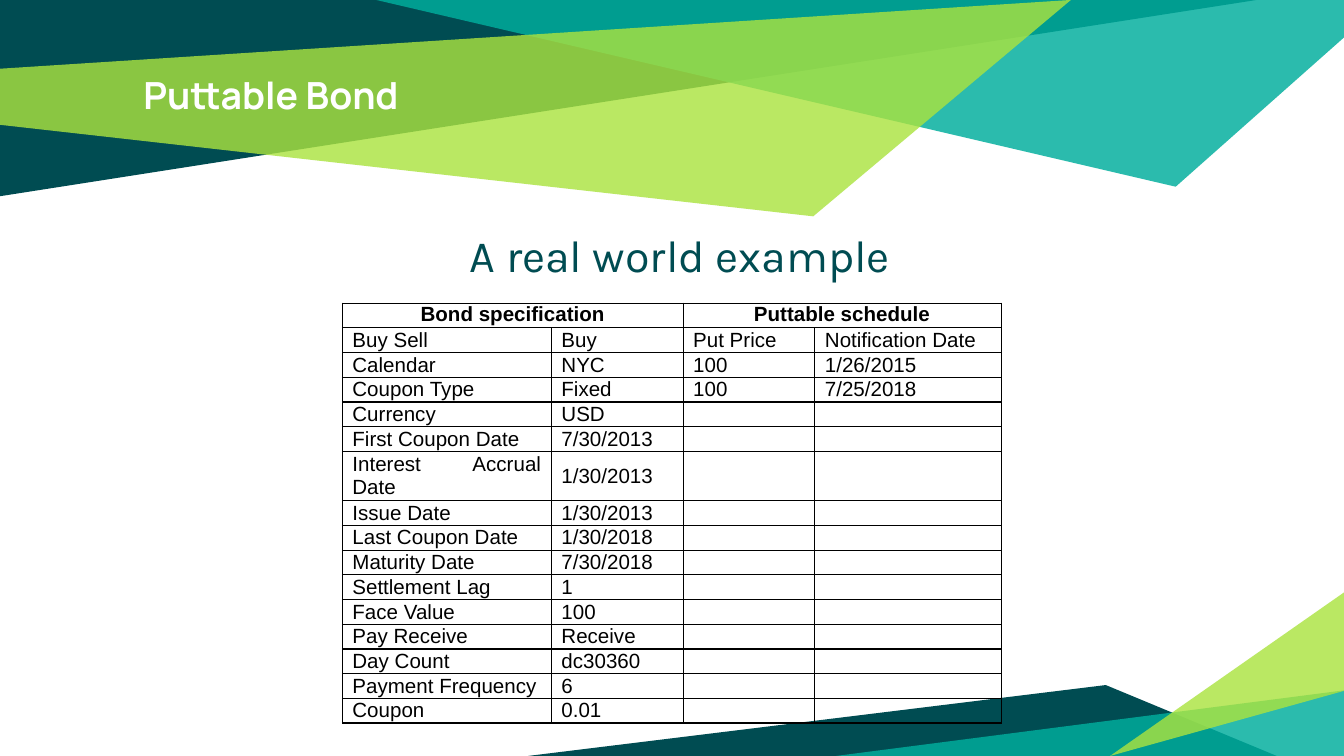
from lxml import etree
from pptx import Presentation
from pptx.dml.color import RGBColor
from pptx.enum import text
from pptx.oxml import ns
from pptx.util import Cm, Pt

# Theme
THEME = {
    "dark": "004C52", "teal": "00AE9D", "lime": "ABE33F",
    "white": "FFFFFF", "black": "000000",
    "head": ("Manrope", 20), "body": ("Karla", 24), "cell": ("Arial", 11),
}
W, H = 25.4, 14.29

# Content
TITLE = "Puttable Bond"
SUBTITLE = "A real world example"
HEADERS = ["Bond specification", "Puttable schedule"]
SPECIFICATION = [
    ("Buy Sell", "Buy"), ("Calendar", "NYC"), ("Coupon Type", "Fixed"),
    ("Currency", "USD"), ("First Coupon Date", "7/30/2013"),
    ("Interest Accrual Date", "1/30/2013"), ("Issue Date", "1/30/2013"),
    ("Last Coupon Date", "1/30/2018"), ("Maturity Date", "7/30/2018"),
    ("Settlement Lag", "1"), ("Face Value", "100"), ("Pay Receive", "Receive"),
    ("Day Count", "dc30360"), ("Payment Frequency", "6"), ("Coupon", "0.01"),
]
SCHEDULE = [("Put Price", "Notification Date"), ("100", "1/26/2015"), ("100", "7/25/2018")]
COL_WIDTHS = [3.95, 2.49, 2.49, 3.52]
LINE_HEIGHT = 0.43

# Bands: colour, opacity in percent, corners in cm
BANDS = [
    ("dark", 100, [(0, 0), (0, 3.71), (23.75, 0)]),
    ("teal", 83, [(7.11, 0), (22.22, 3.53), (W, 0.71), (W, 0)]),
    ("lime", 81, [(0, 1.3), (0, 2.36), (15.37, 4.09), (20.24, 0)]),
    ("dark", 100, [(9.98, H), (24.13, H), (20.9, 12.95)]),
    ("teal", 83, [(W, 13.05), (W, H), (15.8, H)]),
    ("lime", 81, [(W, 13.06), (W, 11.2), (20.98, H)]),
]


def color(name):
    return RGBColor.from_string(THEME[name])


def style(p, kind, col, bold=False):
    name, size = THEME[kind]
    for r in p.runs:
        r.font.name, r.font.size, r.font.bold = name, Pt(size), bold
        r.font.color.rgb = color(col)


def add_band(s, col, opacity, corners):
    pts = [(Cm(x), Cm(y)) for x, y in corners]
    fb = s.shapes.build_freeform(*pts[0])
    fb.add_line_segments(pts[1:], close=True)
    sp = fb.convert_to_shape()
    sp.shadow.inherit = False
    sp.line.fill.background()
    sp.fill.solid()
    sp.fill.fore_color.rgb = color(col)
    if opacity < 100:
        clr = sp.fill._xPr.find(".//" + ns.qn("a:srgbClr"))
        etree.SubElement(clr, ns.qn("a:alpha"), val=str(opacity * 1000))


def add_text(s, box, words, kind, col, bold=False, top=0.25):
    tf = s.shapes.add_textbox(*map(Cm, box)).text_frame
    tf.word_wrap = True
    tf.margin_left = tf.margin_right = tf.margin_bottom = Cm(0.25)
    tf.margin_top = Cm(top)
    p = tf.paragraphs[0]
    p.text = words
    style(p, kind, col, bold)
    return p


def fill_cell(cell, words, header):
    cell.fill.background()
    cell.margin_left = cell.margin_right = Cm(0.19)
    cell.margin_top = cell.margin_bottom = 0
    cell.vertical_anchor = text.MSO_ANCHOR.TOP if header else text.MSO_ANCHOR.MIDDLE
    p = cell.text_frame.paragraphs[0]
    p.alignment = text.PP_ALIGN.CENTER if header else text.PP_ALIGN.JUSTIFY
    if words:
        p.text = words
        style(p, "cell", "black", header)
    else:  # keeps an empty row as low as a filled one
        etree.SubElement(p._p, ns.qn("a:endParaRPr"), sz=str(THEME["cell"][1] * 100))
    # Borders stand before the fill
    tcPr = cell._tc.get_or_add_tcPr()
    for i, side in enumerate(("lnL", "lnR", "lnT", "lnB")):
        ln = etree.Element(ns.qn("a:" + side), w=str(Pt(0.75)))
        solid = etree.SubElement(ln, ns.qn("a:solidFill"))
        etree.SubElement(solid, ns.qn("a:srgbClr"), val=THEME["black"])
        tcPr.insert(i, ln)


def add_bond_table(s, left, top):
    rows = [(HEADERS[0], "", HEADERS[1], "")]
    for i, pair in enumerate(SPECIFICATION):
        rows.append(pair + (SCHEDULE[i] if i < len(SCHEDULE) else ("", "")))
    gf = s.shapes.add_table(len(rows), len(COL_WIDTHS), Cm(left), Cm(top),
                            Cm(sum(COL_WIDTHS)), Cm(LINE_HEIGHT * len(rows)))
    tbl = gf.table
    tbl.first_row = tbl.horz_banding = False
    for col, width in zip(tbl.columns, COL_WIDTHS):
        col.width = Cm(width)
    for i, row in enumerate(rows):
        tbl.rows[i].height = Cm(LINE_HEIGHT)
        for j, words in enumerate(row):
            fill_cell(tbl.cell(i, j), words, header=i == 0)
    for j in (0, 2):
        tbl.cell(0, j).merge(tbl.cell(0, j + 1))


def main():
    prs = Presentation()
    prs.slide_width, prs.slide_height = Cm(W), Cm(H)
    s = prs.slides.add_slide(prs.slide_layouts[6])
    s.background.fill.solid()
    s.background.fill.fore_color.rgb = color("white")

    # Decorative bands
    for band in BANDS:
        add_band(s, *band)

    # Headings
    add_text(s, (2.46, 1.12, 20.47, 1.63), TITLE, "head", "white", bold=True)
    p = add_text(s, (2.31, 3.94, 20.88, 9.19), SUBTITLE, "body", "dark", top=0.36)
    p.alignment = text.PP_ALIGN.CENTER
    p._p.get_or_add_pPr().set("marL", str(Cm(0.2)))

    # Bond table
    add_bond_table(s, 6.47, 5.73)
    prs.save("out.pptx")


if __name__ == "__main__":
    main()
